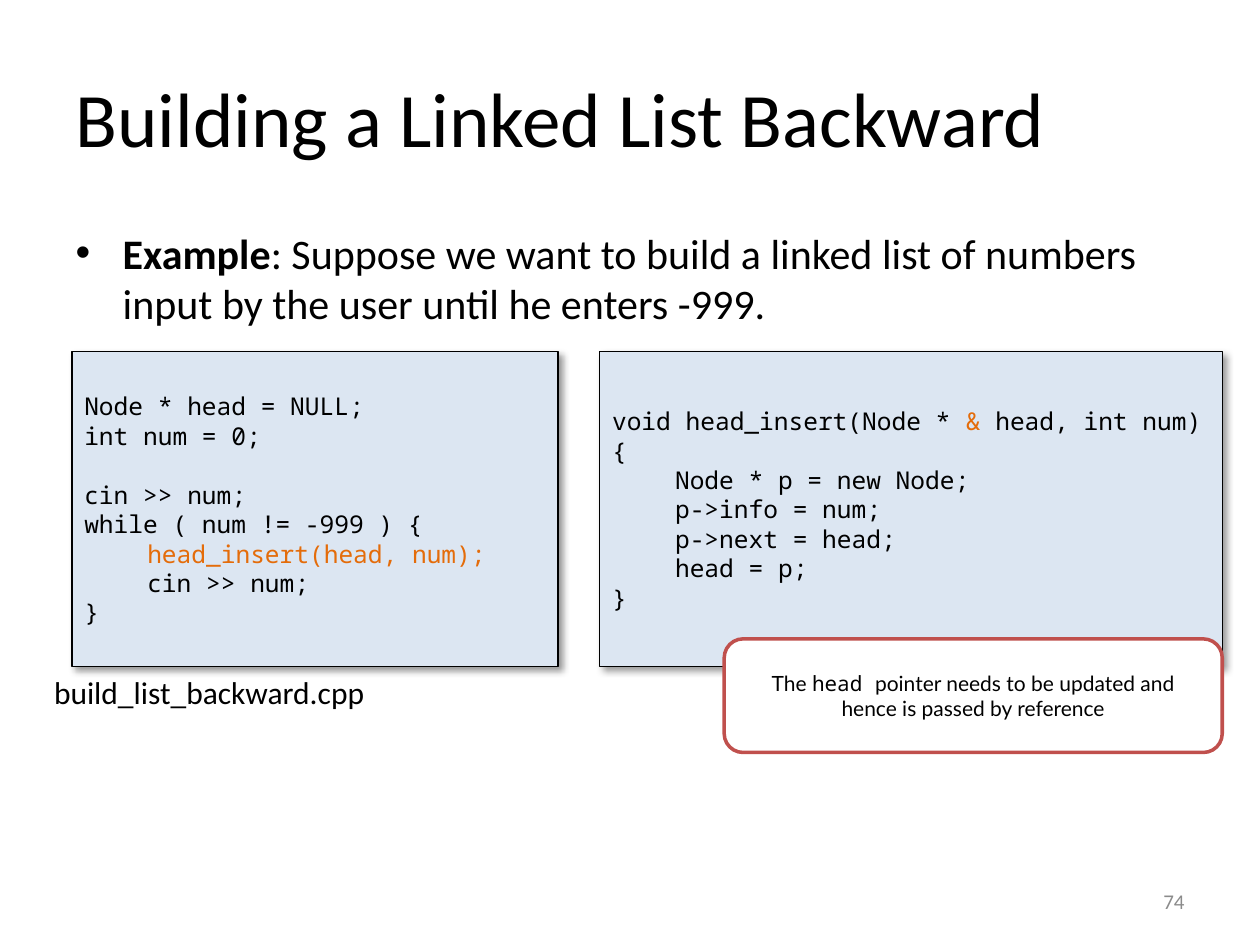
from lxml import etree
from pptx import Presentation
from pptx.dml.color import RGBColor
from pptx.enum.shapes import MSO_SHAPE
from pptx.enum.text import MSO_ANCHOR, MSO_AUTO_SIZE, PP_ALIGN
from pptx.oxml import parse_xml
from pptx.oxml.ns import nsdecls
from pptx.util import Cm, Pt

RECT, ROUNDED = MSO_SHAPE.RECTANGLE, MSO_SHAPE.ROUNDED_RECTANGLE
TOP, MIDDLE = MSO_ANCHOR.TOP, MSO_ANCHOR.MIDDLE
LEFT, CENTER, RIGHT = PP_ALIGN.LEFT, PP_ALIGN.CENTER, PP_ALIGN.RIGHT
NO_FIT = MSO_AUTO_SIZE.NONE
COLORS = {"text": "000000", "code": "DCE6F2", "accent": "E46C0A",
          "note": "FFFFFF", "border": "C0504D", "number": "8B8B8B"}
SANS, MONO, NOTE = "Calibri", "Noto Sans Mono", "Lato"


def rgb(key):
    return RGBColor.from_string(COLORS[key])


def add_run(p, text, name, size, color="text", bold=False):
    r = p.add_run()
    r.text = text
    for key, value in {"name": name, "size": Pt(size), "bold": bold}.items():
        setattr(r.font, key, value)
    r.font.color.rgb = rgb(color)


prs = Presentation()
prs.slide_width, prs.slide_height = Cm(25.4), Cm(19.05)
s = prs.slides.add_slide(prs.slide_layouts[1])

title, body = s.shapes.title, s.placeholders[1]
for sp, top, height, anchor in [(title, 0.76, 3.18, MIDDLE), (body, 4.45, 12.57, TOP)]:
    sp.left, sp.top, sp.width, sp.height = Cm(1.27), Cm(top), Cm(22.86), Cm(height)
    for key, value in {"auto_size": NO_FIT, "word_wrap": True, "vertical_anchor": anchor}.items():
        setattr(sp.text_frame, key, value)

p = title.text_frame.paragraphs[0]
p.alignment = LEFT
add_run(p, "Building a Linked List Backward", SANS, 44)

p = body.text_frame.paragraphs[0]
p.space_before = Pt(0)
pPr = p._p.get_or_add_pPr()
pPr.set("marL", str(Cm(0.95)))
pPr.set("indent", str(-Cm(0.95)))
pPr.append(parse_xml(f'<a:buFont {nsdecls("a")} typeface="Arial"/>'))
pPr.append(parse_xml(f'<a:buChar {nsdecls("a")} char="•"/>'))
add_run(p, "Example", SANS, 24, bold=True)
add_run(p, ": Suppose we want to build a linked list of numbers input by the user "
           "until he enters -999.", SANS, 24)

main_code = [
    [("Node * head = NULL;", "text")],
    [("int num = 0;", "text")],
    [("cin >> num;", "text")],
    [("while ( num != -999 ) {", "text")],
    [("\thead_insert(head, num);", "accent")],
    [("\tcin >> num;", "text")],
    [("}", "text")],
]
insert_code = [
    [("void head_insert(Node * ", "text"), ("&", "accent"), (" head, int num)", "text")],
    [("{", "text")],
    [("\tNode * p = new Node;", "text")],
    [("\tp->info = num;", "text")],
    [("\tp->next = head;", "text")],
    [("\thead = p;", "text")],
    [("}", "text")],
]
for left, width, code, gap_line in [(1.45, 9.8, main_code, 2), (12.09, 12.55, insert_code, None)]:
    sp = s.shapes.add_shape(RECT, Cm(left), Cm(7.09), Cm(width), Cm(6.35))
    sp.fill.solid()
    sp.fill.fore_color.rgb = rgb("code")
    sp.line.color.rgb = rgb("text")
    sp.line.width = Pt(0.75)
    sp.shadow.inherit = False
    effects = sp._element.spPr.find("{*}effectLst")
    effects.append(etree.fromstring(
        f'<a:outerShdw {nsdecls("a")} blurRad="{Pt(4)}" dist="{Pt(3)}" dir="2700000" '
        'algn="tl" rotWithShape="0"><a:srgbClr val="000000"><a:alpha val="40000"/>'
        '</a:srgbClr></a:outerShdw>'))
    tf = sp.text_frame
    tf.word_wrap, tf.vertical_anchor = True, MIDDLE
    for i, line in enumerate(code):
        p = tf.paragraphs[0] if i == 0 else tf.add_paragraph()
        p.alignment = LEFT
        if i == gap_line:
            p.space_before = Pt(16.8)
        for text, color in line:
            add_run(p, text, MONO, 14, color)

note = s.shapes.add_shape(ROUNDED, Cm(14.6), Cm(12.88), Cm(10.04), Cm(2.29))
note.shadow.inherit = False
note.fill.solid()
note.fill.fore_color.rgb = rgb("note")
note.line.color.rgb = rgb("border")
note.line.width = Pt(2)
tf = note.text_frame
tf.word_wrap, tf.vertical_anchor = True, MIDDLE
p = tf.paragraphs[0]
p.alignment = CENTER
for text, font in [("The ", NOTE), ("head ", MONO),
                   ("pointer needs to be updated and hence is passed by reference", NOTE)]:
    add_run(p, text, font, 12)

for box, text, size, color, align, anchor, wrap in [
    ((18.21, 17.65, 5.92, 1.02), "74", 12, "number", RIGHT, MIDDLE, True),
    ((0.84, 13.44, 8.05, 1.02), "build_list_backward.cpp", 18, "text", LEFT, TOP, False),
]:
    tf = s.shapes.add_textbox(*map(Cm, box)).text_frame
    tf.word_wrap, tf.vertical_anchor = wrap, anchor
    p = tf.paragraphs[0]
    p.alignment = align
    add_run(p, text, SANS, size, color)

prs.save("out.pptx")
